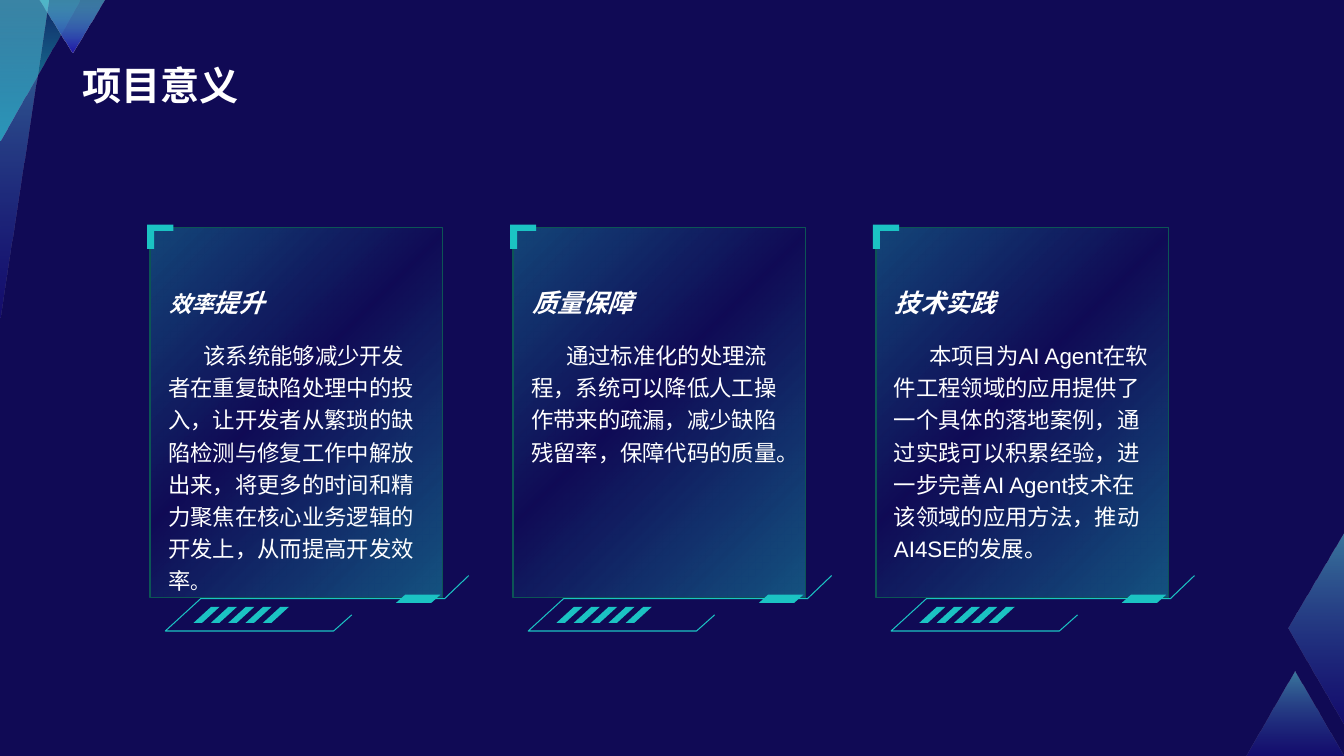
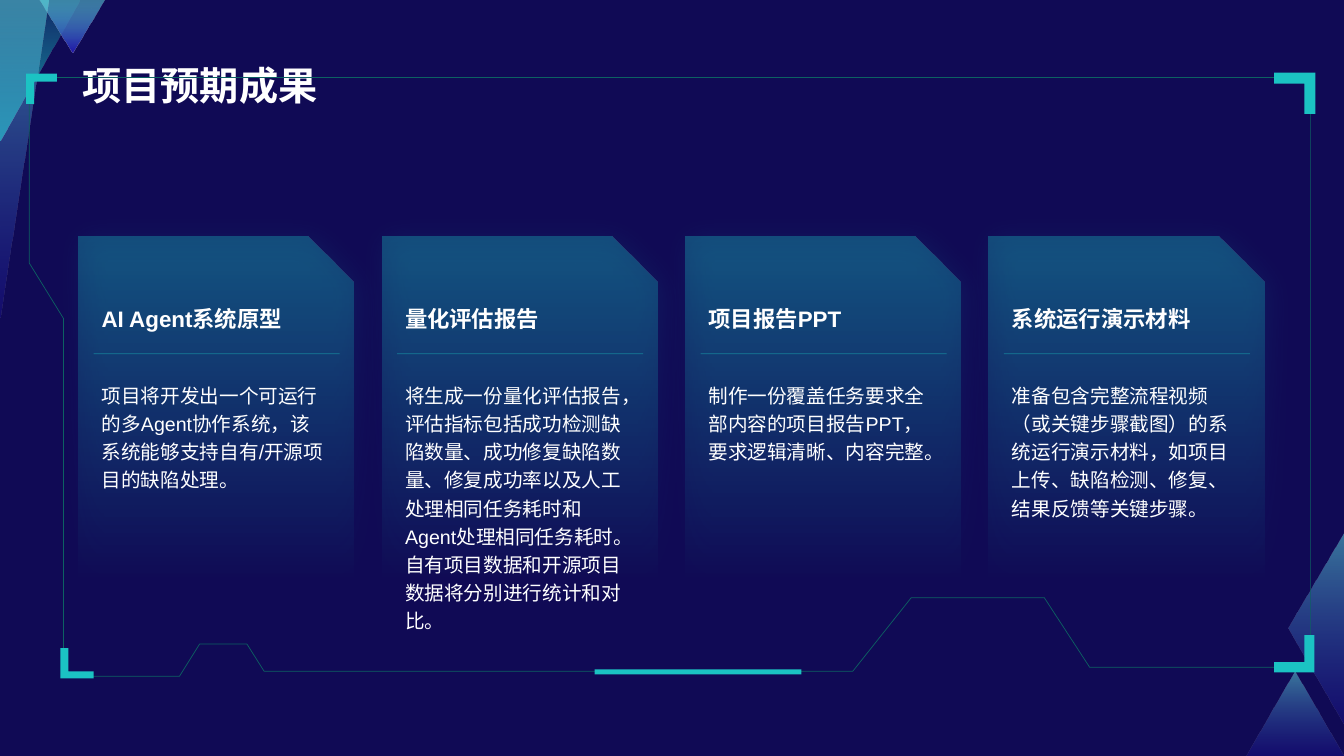
from dataclasses import dataclass
from typing import Optional

from lxml.etree import SubElement as Sub
from pptx import Presentation
from pptx.dml.color import RGBColor as Rgb
from pptx.enum.shapes import MSO_CONNECTOR as Link, MSO_SHAPE as Shape
from pptx.enum.text import MSO_ANCHOR as Anchor
from pptx.oxml.ns import qn
from pptx.util import Emu, Pt

CELL = 91440
COLS, ROWS = 133.33, 75
FONT = "Arial"
HUES = {
    "night": "100A55", "blue": "2014AA", "sky": "67EAEA", "teal": "1BC3C3",
    "moss": "0C5555", "pine": "0D6162", "white": "FFFFFF",
}

Point = tuple[float, float]
Stop = tuple[int, str, int]


@dataclass(frozen=True)
class Grad:
    stops: tuple[Stop, ...]
    angle: Optional[int] = None


@dataclass(frozen=True)
class Facet:
    points: tuple[Point, ...]
    grad: Grad


@dataclass(frozen=True)
class Hook:
    x: float
    y: float
    width: float
    height: float
    side: float
    bar: float


@dataclass(frozen=True)
class Run:
    text: str
    size: float


@dataclass(frozen=True)
class Style:
    size: float
    bold: bool = False
    slant: bool = False
    low: bool = False
    lead: float = 1.0
    indent: float = 0


@dataclass(frozen=True)
class Card:
    head: tuple[Run, ...]
    body: tuple[Run, ...]


FADE = Grad(((0, "blue", 28), (100, "sky", 49)), 270)
DEEP = Grad(((0, "blue", 100), (100, "sky", 49)), 270)
GLOW = Grad(((0, "teal", 15), (100, "teal", 82)), 90)
ORB = Grad(((0, "teal", 39), (55, "teal", 0), (100, "teal", 32)))
VEIL = Grad(((0, "teal", 0), (100, "teal", 34)), 270)

FACETS = (
    Facet(((123.7, 75), (COLS, 75), (128.5, 66.6)), FADE),
    Facet(((COLS, 52.7), (COLS, 72), (127.8, 62.3)), FADE),
    Facet(((0, 0), (7.9, 0), (7.8, 0.3), (0, 13.9)), GLOW),
    Facet(((3.9, 0), (10.4, 0), (7.2, 5.2)), DEEP),
    Facet(((0, 0), (4.8, 0), (4.7, 0.6), (0, 31.5)), FADE),
)
FRAME = (
    (6.3, 67.1), (6.3, 31.6), (2.9, 26.1), (2.9, 7.7), (130, 7.7), (130, 66.2),
    (108.1, 66.2), (103.6, 59.3), (90.4, 59.3), (84.6, 66.6), (26.2, 66.6),
    (24.5, 63.9), (19.8, 63.9), (17.8, 67.1),
)
RAIL = ((20, 61), (18.2, 62.6), (1.5, 62.6), (5, 59.4), (29.2, 59.4), (31.6, 57.1))
HOOKS = (
    Hook(2.6, 7.3, 3.05, 3, 0.8, 0.8),
    Hook(130.5, 7.2, -4.1, 4.1, -1.1, 1.1),
    Hook(6, 67.3, 3.3, -3, 0.8, -0.7),
    Hook(130.4, 66.7, -4, -3.7, -1, -1),
)

TITLE = Style(28, bold=True, low=True)
HEAD1 = Style(18, bold=True, slant=True, low=True)
BODY1 = Style(16, lead=1.2, indent=3.5)
HEAD2 = Style(16, bold=True, low=True)
BODY2 = Style(14, lead=1.2)


def card(head: str, body: str, top: float, size: float) -> Card:
    return Card((Run(head, top),), (Run(body, size),))


GAINS = (
    Card(
        (Run("效率", 16), Run("提升", 18)),
        (Run("该系统能够减少开发者在重复缺陷处理中的投入，让开发者从繁琐的缺陷检测与修复工作中解放出来，"
             "将更多的时间和精力聚焦在核心业务逻辑的开发上，从而提高开发效率", 16), Run("。", 14)),
    ),
    card("质量保障", "通过标准化的处理流程，系统可以降低人工操作带来的疏漏，减少缺陷残留率，保障代码的质量。", 18, 16),
    card("技术实践", "本项目为AI Agent在软件工程领域的应用提供了一个具体的落地案例，通过实践可以积累经验，"
         "进一步完善AI Agent技术在该领域的应用方法，推动AI4SE的发展。", 18, 16),
)
GOALS = (
    card("AI Agent系统原型", "项目将开发出一个可运行的多Agent协作系统，该系统能够支持自有/开源项目的缺陷处理。", 16, 14),
    card("量化评估报告", "将生成一份量化评估报告，评估指标包括成功检测缺陷数量、成功修复缺陷数量、修复成功率以及"
         "人工处理相同任务耗时和Agent处理相同任务耗时。自有项目数据和开源项目数据将分别进行统计和对比。", 16, 14),
    card("项目报告PPT", "制作一份覆盖任务要求全部内容的项目报告PPT，要求逻辑清晰、内容完整。", 16, 14),
    card("系统运行演示材料", "准备包含完整流程视频（或关键步骤截图）的系统运行演示材料，如项目上传、缺陷检测、修复、"
         "结果反馈等关键步骤。", 16, 14),
)


def grid(cells: float) -> Emu:
    return Emu(round(cells * CELL))


def hue(name: str) -> Rgb:
    return Rgb.from_string(HUES[name])


def tint(node, name: str, alpha: int) -> None:
    color = Sub(node, qn("a:srgbClr"), val=HUES[name])
    if alpha < 100:
        Sub(color, qn("a:alpha"), val=str(alpha * 1000))


def paint(shape, fill: Optional[str | Grad], line: Optional[str] = None, width: float = 1) -> None:
    shape.shadow.inherit = False
    if isinstance(fill, Grad):
        shape.fill.gradient()
        node = shape._element.spPr.find(qn("a:gradFill"))
        for child in list(node):
            node.remove(child)
        stops = Sub(node, qn("a:gsLst"))
        for place, name, alpha in fill.stops:
            tint(Sub(stops, qn("a:gs"), pos=str(place * 1000)), name, alpha)
        if fill.angle is None:
            ring = Sub(node, qn("a:path"), {"path": "circle"})
            Sub(ring, qn("a:fillToRect"), l="100000", t="100000")
        else:
            Sub(node, qn("a:lin"), ang=str(fill.angle * 60000), scaled="0")
    elif fill:
        shape.fill.solid()
        shape.fill.fore_color.rgb = hue(fill)
    else:
        shape.fill.background()
    if line:
        shape.line.color.rgb = hue(line)
        shape.line.width = Pt(width)
    else:
        shape.line.fill.background()


def trace(slide, points: tuple[Point, ...], dx: float = 0, close: bool = True):
    spots = [(grid(x + dx), grid(y)) for x, y in points]
    pen = slide.shapes.build_freeform(*spots[0])
    pen.add_line_segments(spots[1:], close=close)
    return pen.convert_to_shape()


def block(slide, kind: Shape, x: float, y: float, width: float, height: float):
    return slide.shapes.add_shape(kind, grid(x), grid(y), grid(width), grid(height))


def hook(slide, h: Hook) -> None:
    right, base = h.x + h.width, h.y + h.height
    edge, under = h.x + h.side, h.y + h.bar
    points = ((h.x, h.y), (right, h.y), (right, under), (edge, under), (edge, base), (h.x, base))
    paint(trace(slide, points), "teal")


def slash(slide, x: float, y: float, width: float, height: float, lean: float) -> None:
    points = ((x + lean, y), (x + width, y), (x + width - lean, y + height), (x, y + height))
    paint(trace(slide, points), "teal")


def write(slide, runs: tuple[Run, ...], style: Style,
          x: float, y: float, width: float, height: float) -> None:
    box = slide.shapes.add_textbox(grid(x), grid(y), grid(width), grid(height))
    frame = box.text_frame
    frame.word_wrap = True
    frame.vertical_anchor = Anchor.BOTTOM if style.low else Anchor.TOP
    para = frame.paragraphs[0]
    para.line_spacing = style.lead
    font = para.font
    font.name, font.size = FONT, Pt(style.size)
    font.bold, font.italic = style.bold, style.slant
    font.color.rgb = hue("white")
    props = para._p.pPr
    Sub(props.find(qn("a:defRPr")), qn("a:ea"), typeface=FONT)
    if style.indent:
        props.set("indent", str(grid(style.indent)))
    for item in runs:
        run = para.add_run()
        run.text = item.text
        if item.size != style.size:
            run.font.size = Pt(item.size)


def start(deck, title: str):
    slide = deck.slides.add_slide(deck.slide_layouts[6])
    for facet in FACETS:
        paint(trace(slide, facet.points), facet.grad)
    write(slide, (Run(title, TITLE.size),), TITLE, 7.2, 1.4, 118.8, 9.8)
    return slide


def gain(slide, item: Card, x: float) -> None:
    paint(block(slide, Shape.RECTANGLE, x, 22.6, 29, 36.7), ORB, "moss")
    for step in range(5):
        slash(slide, x + 4.3 + 1.72 * step, 60.2, 2.6, 1.6, 1.75)
    slash(slide, x + 24.4, 59, 4.4, 0.8, 0.9)
    paint(trace(slide, RAIL, x, close=False), None, "teal", 0.75)
    hook(slide, Hook(x - 0.3, 22.3, 2.6, 2.4, 0.7, 0.6))
    write(slide, item.head, HEAD1, x + 0.9, 24.2, 27.5, 7.8)
    write(slide, item.body, BODY1, x + 0.8, 32.9, 27.5, 23.5)


def goal(slide, item: Card, x: float) -> None:
    panel = block(slide, Shape.SNIP_1_RECTANGLE, x, 23.5, 27.3, 34.7)
    paint(panel, VEIL)
    glow = Sub(panel._element.spPr.find(qn("a:effectLst")), qn("a:outerShdw"),
               blurRad=str(Pt(21)), dist=str(Pt(4)), dir=str(40 * 60000), rotWithShape="0")
    tint(glow, "teal", 29)
    write(slide, item.head, HEAD2, x + 1.3, 26.3, 24.6, 7.1)
    write(slide, item.body, BODY2, x + 1.3, 37.1, 24.6, 19.1)
    rule = slide.shapes.add_connector(
        Link.STRAIGHT, grid(x + 1.5), grid(35.1), grid(x + 25.9), grid(35.1))
    rule.line.color.rgb = hue("teal")
    rule.line.width = Pt(0.5)
    props = rule._element.spPr
    Sub(next(props.iter(qn("a:srgbClr"))), qn("a:alpha"), val="50000")
    Sub(props, qn("a:effectLst"))


def main() -> None:
    deck = Presentation()
    deck.slide_width, deck.slide_height = grid(COLS), grid(ROWS)
    back = deck.slide_master.background.fill
    back.solid()
    back.fore_color.rgb = hue("night")

    slide = start(deck, "项目意义")
    for col, item in enumerate(GAINS):
        gain(slide, item, 14.9 + 36 * col)

    slide = start(deck, "项目预期成果")
    paint(trace(slide, FRAME), None, "pine", 0.5)
    for corner in HOOKS:
        hook(slide, corner)
    paint(block(slide, Shape.RECTANGLE, 59, 66.4, 20.5, 0.5), "teal")
    for col, item in enumerate(GOALS):
        goal(slide, item, 7.8 + 30.1 * col)

    deck.save("out.pptx")


if __name__ == "__main__":
    main()
